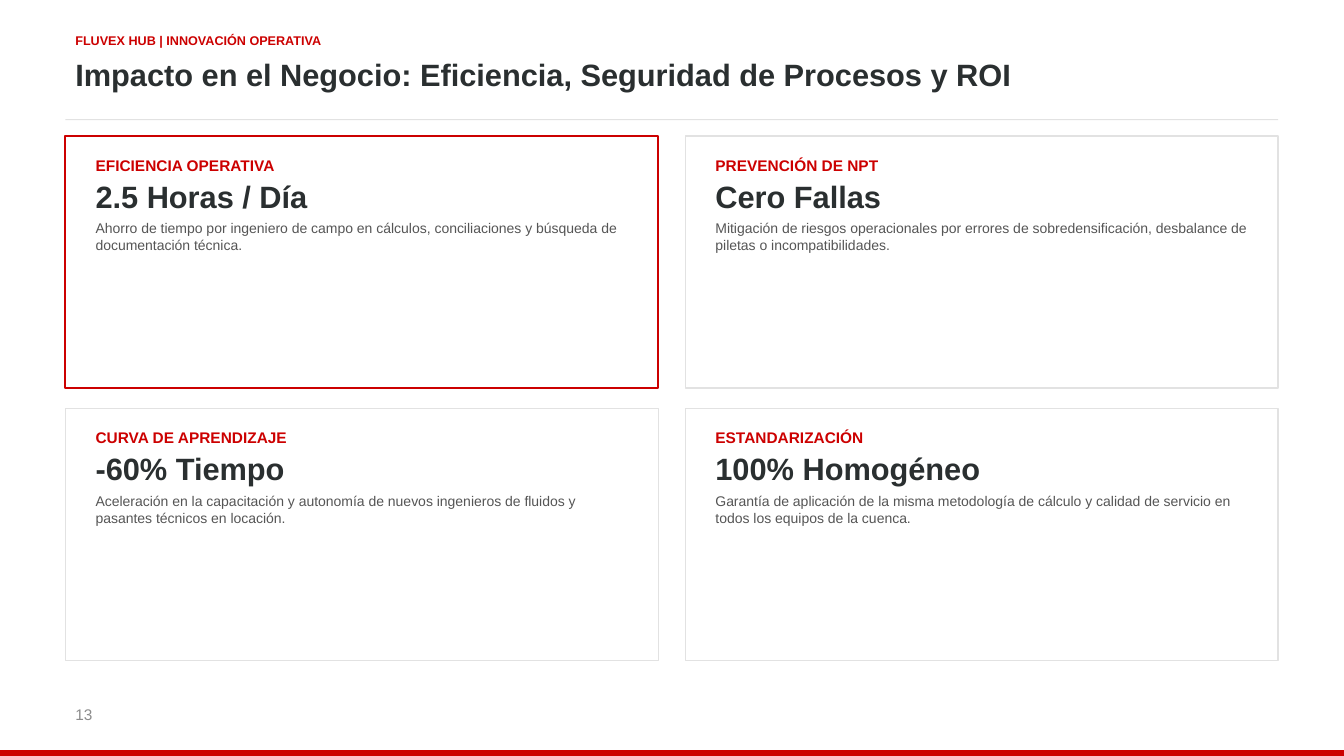
from pptx import Presentation
from pptx.dml.color import RGBColor
from pptx.enum.shapes import MSO_SHAPE as Shape
from pptx.enum.text import MSO_AUTO_SIZE as AutoSize
from pptx.util import Cm, Pt

COLORS = {
    "red": "CC0000",
    "dark": "2A2F30",
    "body": "555555",
    "muted": "8C8C8C",
    "rule": "E2E2E2",
    "white": "FFFFFF",
}
WIDTH, HEIGHT = 33.87, 19.05
MARGIN, CARDS_TOP = 1.65, 3.43
CARD_W, CARD_H = 14.94, 6.35
STEP_X, STEP_Y = 15.75 - 0.13, 6.86
PAD_X, PAD_Y = 0.51, 0.38
BAR_H = 0.15

CARDS = [
    ("EFICIENCIA OPERATIVA", "2.5 Horas / Día",
     "Ahorro de tiempo por ingeniero de campo en cálculos, conciliaciones y "
     "búsqueda de documentación técnica."),
    ("PREVENCIÓN DE NPT", "Cero Fallas",
     "Mitigación de riesgos operacionales por errores de sobredensificación, "
     "desbalance de piletas o incompatibilidades."),
    ("CURVA DE APRENDIZAJE", "-60% Tiempo",
     "Aceleración en la capacitación y autonomía de nuevos ingenieros de "
     "fluidos y pasantes técnicos en locación."),
    ("ESTANDARIZACIÓN", "100% Homogéneo",
     "Garantía de aplicación de la misma metodología de cálculo y calidad de "
     "servicio en todos los equipos de la cuenca."),
]


class SlideBuilder:
    font = "Arial"

    def __init__(self, slide):
        self.slide = slide

    def color(self, name):
        return RGBColor.from_string(COLORS[name])

    def rect(self, x, y, w, h, fill, line=None, weight=1):
        sp = self.slide.shapes.add_shape(Shape.RECTANGLE, Cm(x), Cm(y), Cm(w), Cm(h))
        sp.shadow.inherit = False
        sp.fill.solid()
        sp.fill.fore_color.rgb = self.color(fill)
        if line:
            sp.line.color.rgb = self.color(line)
            sp.line.width = Pt(weight)
        else:
            sp.line.fill.background()

    def text(self, x, y, w, h, *lines):
        tf = self.slide.shapes.add_textbox(Cm(x), Cm(y), Cm(w), Cm(h)).text_frame
        tf.word_wrap = True
        tf.auto_size = AutoSize.SHAPE_TO_FIT_TEXT
        for i, (text, size, color, bold, after) in enumerate(lines):
            p = tf.add_paragraph() if i else tf.paragraphs[0]
            p.text = text
            p.space_after = Pt(after)
            font = p.runs[0].font
            font.name, font.size, font.bold = self.font, Pt(size), bold
            font.color.rgb = self.color(color)

    def card(self, x, y, label, value, detail, highlight):
        line, weight = ("red", 1.5) if highlight else ("rule", 1)
        self.rect(x, y, CARD_W, CARD_H, "white", line, weight)
        self.text(x + PAD_X, y + PAD_Y, CARD_W - 2 * PAD_X, CARD_H - 2 * PAD_Y,
                  (label, 11, "red", True, 2),
                  (value, 22, "dark", True, 4),
                  (detail, 10, "body", False, 0))


def main():
    prs = Presentation()
    prs.slide_width, prs.slide_height = Cm(WIDTH), Cm(HEIGHT)
    b = SlideBuilder(prs.slides.add_slide(prs.slide_layouts[6]))

    b.text(MARGIN, 0.71, 30.48, 0.76,
           ("FLUVEX HUB | INNOVACIÓN OPERATIVA", 9, "red", True, 0))
    b.text(MARGIN, 1.27, 30.58, 1.65,
           ("Impacto en el Negocio: Eficiencia, Seguridad de Procesos y ROI",
            22, "dark", True, 0))
    b.rect(MARGIN, 3, STEP_X + CARD_W, 0.03, "rule")
    b.text(MARGIN, 17.65, 3.81, 1.02, ("13", 11, "muted", False, 0))
    b.rect(0, HEIGHT - BAR_H, WIDTH, BAR_H, "red", "red", 0.5)

    for i, card in enumerate(CARDS):
        row, col = divmod(i, 2)
        b.card(MARGIN + col * STEP_X, CARDS_TOP + row * STEP_Y, *card,
               highlight=i == 0)

    prs.save("out.pptx")


if __name__ == "__main__":
    main()
